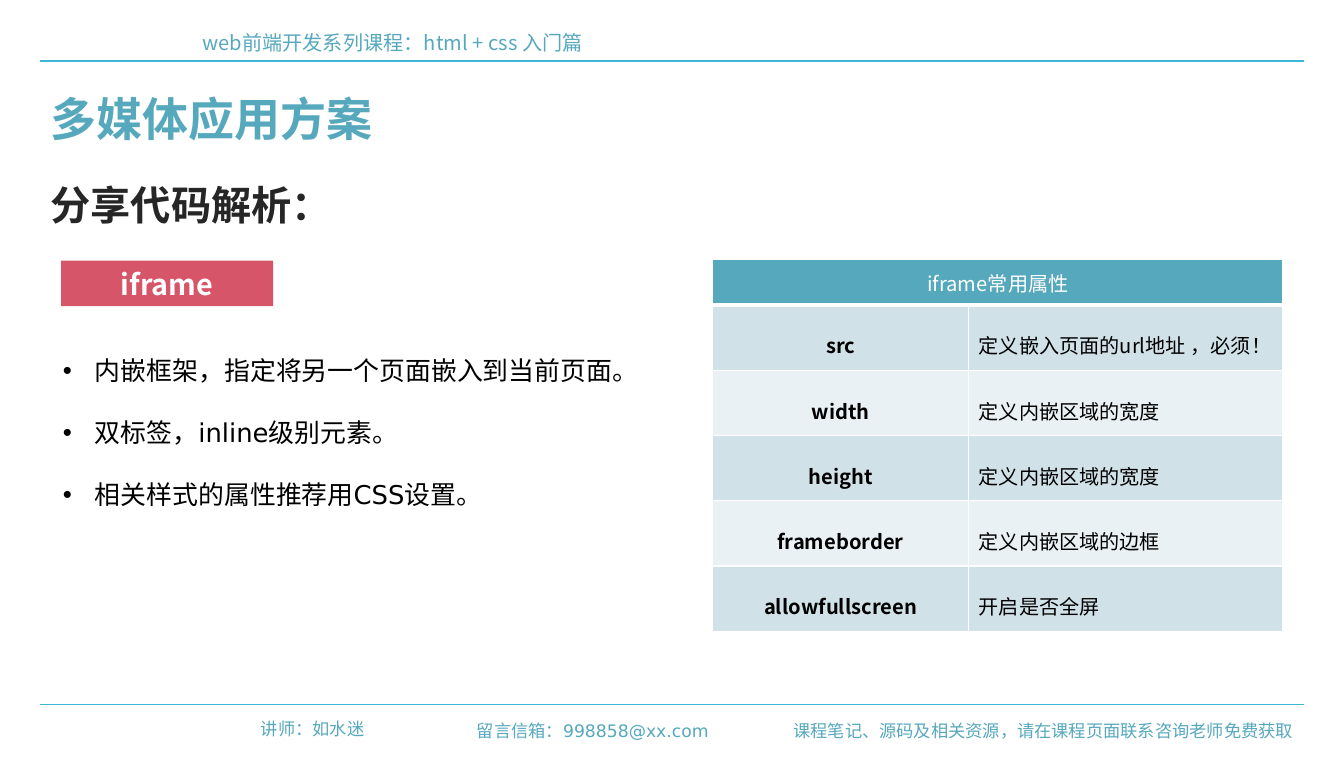
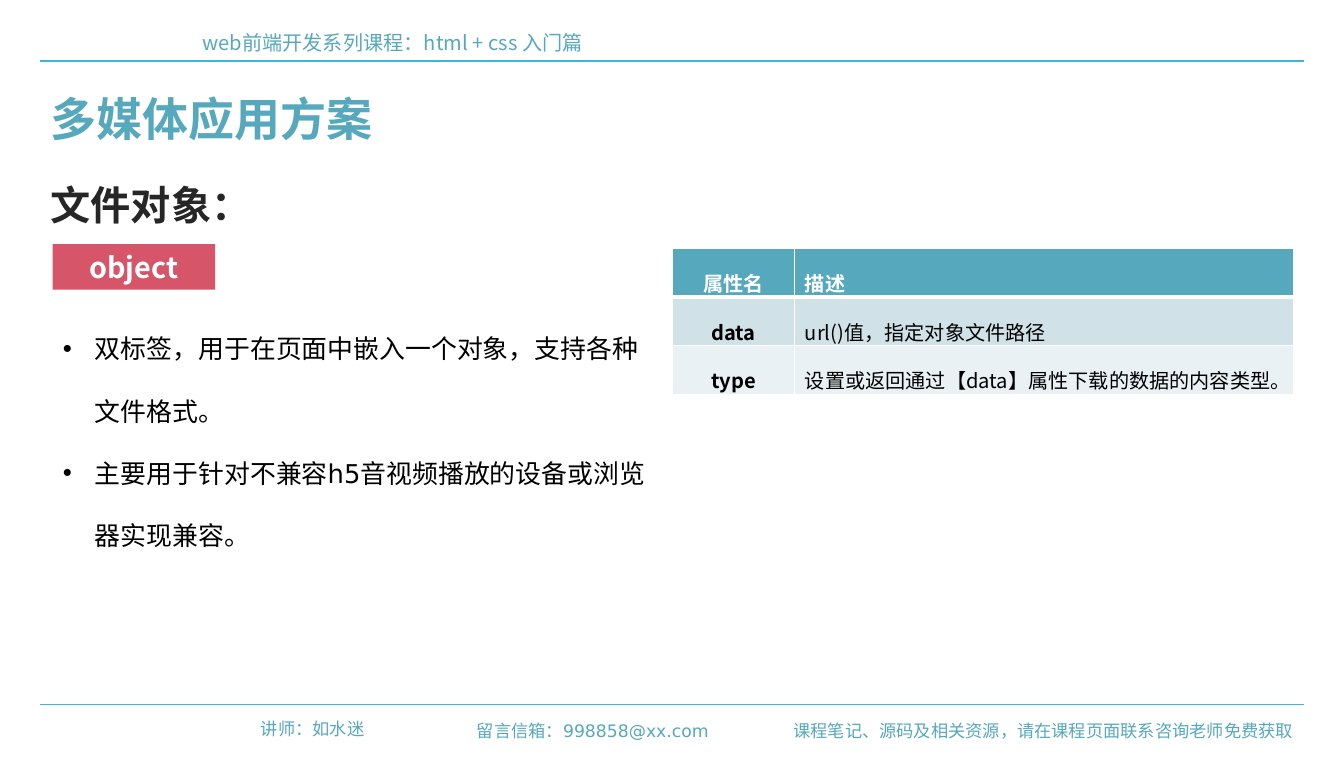
from dataclasses import dataclass

from lxml.etree import SubElement
from pptx import Presentation
from pptx.dml.color import RGBColor
from pptx.enum.shapes import MSO_CONNECTOR, MSO_SHAPE
from pptx.enum.text import MSO_ANCHOR, MSO_AUTO_SIZE, PP_ALIGN
from pptx.oxml.ns import qn
from pptx.util import Inches, Pt

TEAL, LINE, RED = "56A8BD", "3CB7D7", "D75569"
INK, BLACK, WHITE = "262626", "000000", "FFFFFF"
STRIPES = ("D1E1E8", "E9F1F4")
CJK, SANS = "Noto Sans CJK SC", "DejaVu Sans"
LEFT, RIGHT = 0.39, 12.6
Box = tuple[float, float, float, float]


@dataclass(frozen=True)
class Style:
    size: float
    color: str
    font: str = SANS
    bold: bool = False
    align: PP_ALIGN = PP_ALIGN.LEFT
    spacing: float = 1.0


@dataclass(frozen=True)
class Label:
    text: str
    box: Box
    style: Style


@dataclass(frozen=True)
class AttributeTable:
    left: float
    top: float
    widths: tuple[float, ...]
    header_height: float
    row_height: float
    header: tuple[str, ...]
    rows: tuple[tuple[str, str], ...]
    bottom_margin: float = 0.05


@dataclass(frozen=True)
class Lesson:
    subtitle: str
    tag: str
    tag_box: Box
    bullets: tuple[str, ...]
    bullet_box: Box
    table: AttributeTable


TITLE = Style(32, TEAL, bold=True)
SUBTITLE = Style(28, INK, CJK, True)
TAG = Style(20, WHITE, CJK, True, PP_ALIGN.CENTER)
BULLET = Style(18, BLACK, spacing=2)
FOOTER = Style(12, TEAL, align=PP_ALIGN.RIGHT)

FRAME_LABELS = (
    Label("web前端开发系列课程：html + css 入门篇", (1.86, 0.24, 10.51, 0.34), Style(14, TEAL, CJK)),
    Label("讲师：如水迷", (2.24, 6.89, 1.38, 0.3), FOOTER),
    Label("课程笔记、源码及相关资源，请在课程页面联系咨询老师免费获取", (7.52, 6.91, 5.08, 0.3), FOOTER),
    Label("留言信箱：998858@xx.com", (4.29, 6.91, 2.66, 0.3), FOOTER),
    Label("多媒体应用方案", (LEFT, 0.83, 12.2, 0.64), TITLE),
)

LESSONS = (
    Lesson(
        "分享代码解析：", "iframe", (0.59, 2.52, 2.05, 0.44),
        ("内嵌框架，指定将另一个页面嵌入到当前页面。",
         "双标签，inline级别元素。",
         "相关样式的属性推荐用CSS设置。"),
        (0.51, 3.08, 5.75, 1.92),
        AttributeTable(
            6.89, 2.51, (2.47, 3.04), 0.44, 0.63, ("iframe常用属性",),
            (("src", "定义嵌入页面的url地址 ，必须！"),
             ("width", "定义内嵌区域的宽度"),
             ("height", "定义内嵌区域的宽度"),
             ("frameborder", "定义内嵌区域的边框"),
             ("allowfullscreen", "开启是否全屏")))),
    Lesson(
        "文件对象：", "object", (0.51, 2.36, 1.57, 0.44),
        ("双标签，用于在页面中嵌入一个对象，支持各种文件格式。",
         "主要用于针对不兼容h5音视频播放的设备或浏览器实现兼容。"),
        (0.51, 2.87, 5.83, 2.52),
        AttributeTable(
            6.5, 2.4, (1.18, 4.82), 0.47, 0.47, ("属性名", "描述"),
            (("data", "url()值，指定对象文件路径"),
             ("type", "设置或返回通过【data】属性下载的数据的内容类型。")),
            bottom_margin=0)),
)


def rgb(color: str) -> RGBColor:
    return RGBColor.from_string(color)


def inches(box: Box) -> list[Inches]:
    return [Inches(length) for length in box]


def write_para(para, text: str, style: Style) -> None:
    para.text = text
    para.alignment = style.align
    para.line_spacing = style.spacing
    font = para.font
    font.size, font.bold, font.name = Pt(style.size), style.bold, style.font
    font.color.rgb = rgb(style.color)
    defaults = para._p.get_or_add_pPr().get_or_add_defRPr()
    SubElement(defaults, qn("a:ea"), typeface=CJK)


def add_bullet(para) -> None:
    """Give the paragraph a hanging bullet."""
    properties = para._p.get_or_add_pPr()
    properties.set("marL", str(Inches(0.31)))
    properties.set("indent", str(-Inches(0.31)))
    defaults = properties.find(qn("a:defRPr"))
    font = properties.makeelement(qn("a:buFont"), {"typeface": "Arial"})
    mark = properties.makeelement(qn("a:buChar"), {"char": "•"})
    defaults.addprevious(font)
    defaults.addprevious(mark)


def add_text(page, box: Box, texts: tuple[str, ...], style: Style, bulleted: bool = False) -> None:
    frame = page.shapes.add_textbox(*inches(box)).text_frame
    frame.word_wrap = True
    frame.auto_size = MSO_AUTO_SIZE.SHAPE_TO_FIT_TEXT
    for index, text in enumerate(texts):
        para = frame.add_paragraph() if index else frame.paragraphs[0]
        write_para(para, text, style)
        if bulleted:
            add_bullet(para)


def add_rule(page, y: float) -> None:
    rule = page.shapes.add_connector(
        MSO_CONNECTOR.STRAIGHT, Inches(LEFT), Inches(y), Inches(RIGHT), Inches(y))
    rule.line.color.rgb = rgb(LINE)
    rule.line.width = Pt(0.75)
    SubElement(rule._element.spPr, qn("a:effectLst"))


def add_tag(page, text: str, box: Box) -> None:
    tag = page.shapes.add_shape(MSO_SHAPE.RECTANGLE, *inches(box))
    tag.shadow.inherit = False
    tag.fill.solid()
    tag.fill.fore_color.rgb = rgb(RED)
    tag.line.fill.background()
    tag.text_frame.word_wrap = True
    write_para(tag.text_frame.paragraphs[0], text, TAG)


def set_borders(cell, top: float, bottom: float) -> None:
    """Draw white borders; the sides are 1 pt wide."""
    properties = cell._tc.get_or_add_tcPr()
    widths = {"lnL": 1, "lnR": 1, "lnT": top, "lnB": bottom}
    for index, (side, width) in enumerate(widths.items()):
        border = properties.makeelement(qn(f"a:{side}"), {"w": str(Pt(width))})
        fill = SubElement(border, qn("a:solidFill"))
        SubElement(fill, qn("a:srgbClr"), val=WHITE)
        properties.insert(index, border)


def add_attribute_table(page, spec: AttributeTable) -> None:
    heights = [spec.header_height] + [spec.row_height] * len(spec.rows)
    box = (spec.left, spec.top, sum(spec.widths), sum(heights))
    table = page.shapes.add_table(len(heights), len(spec.widths), *inches(box)).table
    for column, width in zip(table.columns, spec.widths):
        column.width = Inches(width)
    for row, height in zip(table.rows, heights):
        row.height = Inches(height)

    merged = len(spec.header) == 1
    if merged:
        table.cell(0, 0).merge(table.cell(0, len(spec.widths) - 1))
    for r, texts in enumerate((spec.header, *spec.rows)):
        is_header = r == 0
        for c in range(len(spec.widths)):
            cell = table.cell(r, c)
            cell.fill.solid()
            cell.fill.fore_color.rgb = rgb(TEAL if is_header else STRIPES[(r - 1) % 2])
            cell.vertical_anchor = MSO_ANCHOR.MIDDLE
            cell.margin_bottom = Inches(spec.bottom_margin)
            set_borders(cell, top=3 if r == 1 else 1, bottom=3 if is_header else 1)
            if c < len(texts):
                style = Style(
                    14, WHITE if is_header else BLACK, CJK,
                    bold=not merged if is_header else c == 0,
                    align=PP_ALIGN.LEFT if c else PP_ALIGN.CENTER,
                    spacing=1 if is_header and merged else 1.5)
                write_para(cell.text_frame.paragraphs[0], texts[c], style)


def add_frame(page) -> None:
    """Draw the rules, header, footer and title that every slide shares."""
    for y in (0.59, 6.81):
        add_rule(page, y)
    for label in FRAME_LABELS:
        add_text(page, label.box, (label.text,), label.style)


def add_lesson(deck, lesson: Lesson) -> None:
    page = deck.slides.add_slide(deck.slide_layouts[6])
    add_frame(page)
    add_text(page, (LEFT, 1.69, 6.65, 0.57), (lesson.subtitle,), SUBTITLE)
    add_text(page, lesson.bullet_box, lesson.bullets, BULLET, bulleted=True)
    add_tag(page, lesson.tag, lesson.tag_box)
    add_attribute_table(page, lesson.table)


def main() -> None:
    deck = Presentation()
    deck.slide_width, deck.slide_height = Inches(12.99), Inches(7.48)
    for lesson in LESSONS:
        add_lesson(deck, lesson)
    deck.save("out.pptx")


if __name__ == "__main__":
    main()
